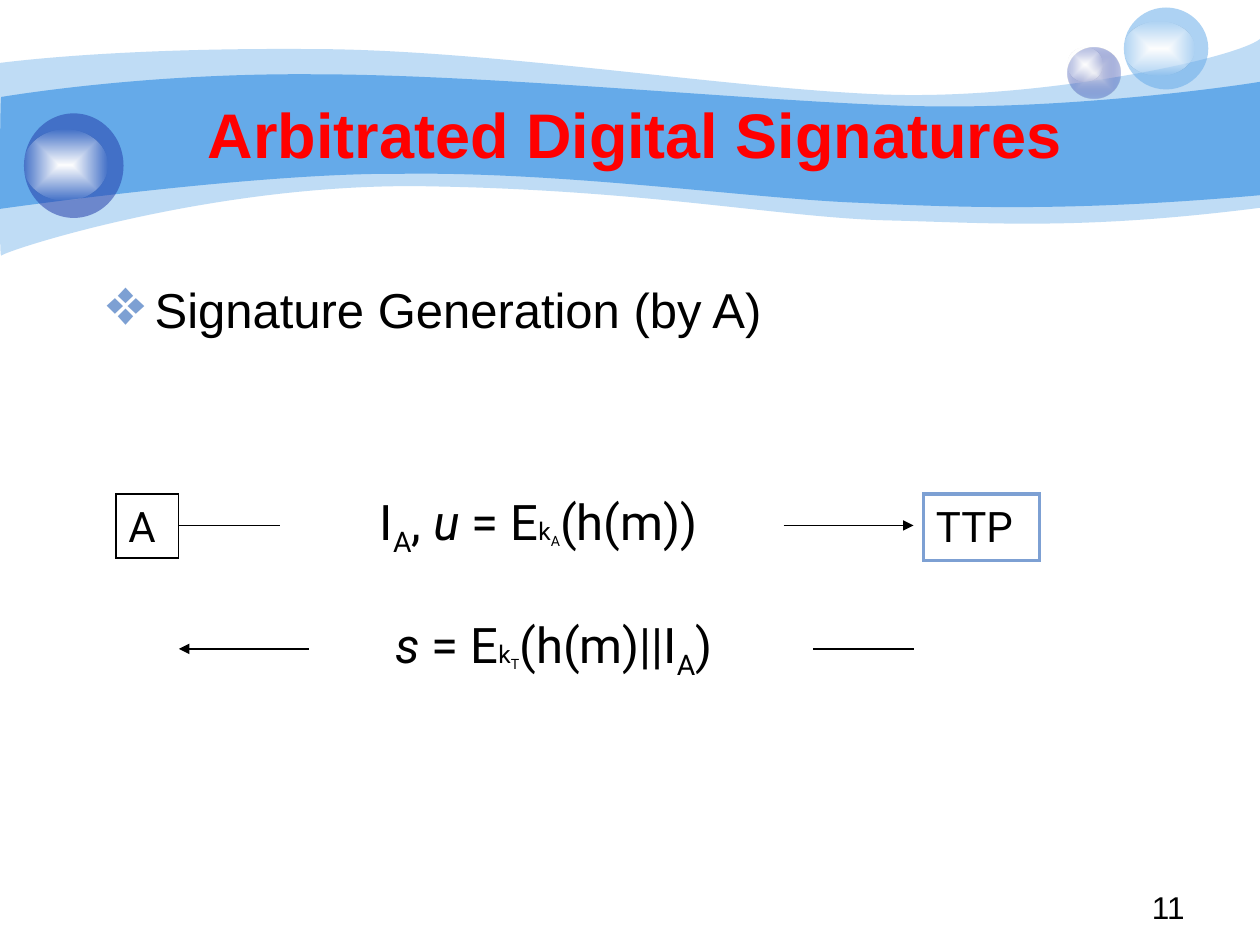
from lxml.etree import SubElement
from pptx import Presentation
from pptx.dml.color import RGBColor
from pptx.enum.shapes import MSO_CONNECTOR, MSO_SHAPE
from pptx.enum.text import MSO_ANCHOR, PP_ALIGN
from pptx.oxml import parse_xml
from pptx.oxml.ns import nsdecls, qn
from pptx.util import Inches, Pt

BLACK = RGBColor(0x00, 0x00, 0x00)
RED = RGBColor(0xFF, 0x00, 0x00)
WHITE = RGBColor(0xFF, 0xFF, 0xFF)
LAVENDER = RGBColor(0xE1, 0xE2, 0xED)
SKY = RGBColor(0x65, 0xAA, 0xE9)
NAVY = RGBColor(0x23, 0x3D, 0xA9)
STEEL = RGBColor(0x7D, 0xA0, 0xD3)

# Each edge: a start point, then two control points and an end point per curve.
PALE_TOP = [(0, 0.5), (0.24, 0.47), (1.07, 0.38), (2.47, 0.39),
            (3.86, 0.39), (5.75, 0.7), (6.99, 0.75),
            (8.22, 0.8), (9.8, 0.47), (10, 0.31)]
PALE_BOTTOM = [(10, 1.65), (8.58, 1.83), (7.87, 1.77), (7.05, 1.75),
               (6.22, 1.73), (5.15, 1.51), (3.43, 1.48),
               (1.72, 1.44), (0.04, 1.99), (0.01, 2.03),
               (-0.01, 2.08), (0, 0.75), (0, 0.5)]
DEEP_TOP = [(0.01, 0.77), (0.02, 0.77), (1.1, 0.58), (2.48, 0.59),
            (3.86, 0.59), (5.95, 0.8), (7.18, 0.84),
            (8.41, 0.88), (9.76, 0.69), (10, 0.65)]
DEEP_BOTTOM = [(10, 1.55), (8.53, 1.68), (7.65, 1.65), (6.82, 1.61),
               (5.99, 1.58), (4.47, 1.36), (3.17, 1.38),
               (2.03, 1.37), (-0.02, 1.66), (-0.01, 1.66),
               (0, 1.66), (0, 0.77), (0.01, 0.77)]


def fill_solid(shape, color, opacity=100):
    shape.fill.solid()
    shape.fill.fore_color.rgb = color
    if opacity < 100:
        color_element = shape.fill._xPr.find(qn("a:solidFill"))[0]
        SubElement(color_element, qn("a:alpha"), val=str(opacity * 1000))


def fill_radial(shape, inner, outer, outer_opacity):
    gradient = parse_xml(
        f'<a:gradFill {nsdecls("a")} rotWithShape="1"><a:gsLst>'
        f'<a:gs pos="0"><a:srgbClr val="{inner}"/></a:gs>'
        f'<a:gs pos="100000"><a:srgbClr val="{outer}"><a:alpha val="{outer_opacity * 1000}"/>'
        '</a:srgbClr></a:gs></a:gsLst><a:path path="shape">'
        '<a:fillToRect l="50000" t="50000" r="50000" b="50000"/></a:path></a:gradFill>')
    shape._element.spPr.find(qn("a:prstGeom")).addnext(gradient)


def merge_into_curves(segments):
    """Turn every three straight segments into one cubic Bézier curve."""
    for first in range(0, len(segments), 3):
        curve = parse_xml(f'<a:cubicBezTo {nsdecls("a")}/>')
        segments[first].addprevious(curve)
        for segment in segments[first:first + 3]:
            curve.append(segment[0])
            segment.getparent().remove(segment)


def add_wave(slide, top, bottom, opacity=100):
    points = [(Inches(x), Inches(y)) for x, y in top + bottom]
    builder = slide.shapes.build_freeform(*points[0])
    builder.add_line_segments(points[1:], close=True)
    wave = builder.convert_to_shape()
    segments = list(wave._element.spPr.iter(qn("a:lnTo")))
    merge_into_curves(segments[:len(top) - 1])
    merge_into_curves(segments[len(top):len(points) - 1])
    wave.shadow.inherit = False
    wave.line.fill.background()
    fill_solid(wave, SKY, opacity)


def add_ellipse(slide, left, top, width, height):
    ellipse = slide.shapes.add_shape(MSO_SHAPE.OVAL, Inches(left), Inches(top),
                                     Inches(width), Inches(height))
    ellipse.shadow.inherit = False
    ellipse.line.fill.background()
    return ellipse


def add_highlight(slide, left, top, width, height):
    fill_radial(add_ellipse(slide, left, top, width, height), WHITE, WHITE, 0)


def add_banner(slide):
    add_wave(slide, PALE_TOP, PALE_BOTTOM, 41)
    add_wave(slide, DEEP_TOP, DEEP_BOTTOM)
    fill_radial(add_ellipse(slide, 8.47, 0.38, 0.42, 0.4), LAVENDER, NAVY, 31)
    add_highlight(slide, 8.47, 0.38, 0.28, 0.27)
    fill_solid(add_ellipse(slide, 8.92, 0.06, 0.67, 0.65), SKY, 53)
    add_highlight(slide, 8.92, 0.17, 0.56, 0.43)
    fill_solid(add_ellipse(slide, 0.19, 0.9, 0.79, 0.83), NAVY, 53)
    add_highlight(slide, 0.19, 1.03, 0.66, 0.56)


def add_run(paragraph, text, size, font="Roboto", color=BLACK, italic=False, subscript=False):
    run = paragraph.add_run()
    run.text = text
    run.font.size = Pt(size)
    run.font.name = font
    run.font.color.rgb = color
    run.font.italic = italic
    if subscript:
        run.font._element.set("baseline", "-25000")
    return run


def add_text_box(slide, left, top, width, height, align=PP_ALIGN.LEFT):
    """Add an empty wrapping text box and return its paragraph."""
    box = slide.shapes.add_textbox(Inches(left), Inches(top), Inches(width), Inches(height))
    box.text_frame.word_wrap = True
    paragraph = box.text_frame.paragraphs[0]
    paragraph.alignment = align
    return paragraph


def add_title(slide, left, top, width, height):
    title = slide.shapes.title
    title.left, title.top = Inches(left), Inches(top)
    title.width, title.height = Inches(width), Inches(height)
    title.text_frame.vertical_anchor = MSO_ANCHOR.MIDDLE
    paragraph = title.text_frame.paragraphs[0]
    paragraph.alignment = PP_ALIGN.CENTER
    add_run(paragraph, "Arbitrated Digital Signatures", 36, "Arial", RED).font.bold = True


def add_bullet(slide, left, top, width, height):
    paragraph = add_text_box(slide, left, top, width, height)
    properties = paragraph._p.get_or_add_pPr()
    properties.set("marL", str(Inches(0.38)))
    properties.set("indent", str(-Inches(0.38)))
    bullet_color = SubElement(properties, qn("a:buClr"))
    SubElement(bullet_color, qn("a:srgbClr"), val=str(STEEL))
    SubElement(properties, qn("a:buSzPct"), val="135000")
    SubElement(properties, qn("a:buChar"), char="❖")
    add_run(paragraph, "Signature Generation (by A)", 28, "Arial")


def add_party(slide, name, left, top, width, height, line_color, line_width):
    party = slide.shapes.add_shape(MSO_SHAPE.RECTANGLE, Inches(left), Inches(top),
                                   Inches(width), Inches(height))
    party.shadow.inherit = False
    party.fill.background()
    party.line.color.rgb = line_color
    party.line.width = Pt(line_width)
    SubElement(party.line._get_or_add_ln(), qn("a:miter"), lim="800000")
    party.text_frame.vertical_anchor = MSO_ANCHOR.TOP
    paragraph = party.text_frame.paragraphs[0]
    paragraph.alignment = PP_ALIGN.LEFT
    add_run(paragraph, name, 24)


def add_line(slide, start, end, y, arrow=False):
    line = slide.shapes.add_connector(MSO_CONNECTOR.STRAIGHT, Inches(start), Inches(y),
                                      Inches(end), Inches(y))
    line.line.color.rgb = BLACK
    line.line.width = Pt(0.75)
    if arrow:
        SubElement(line.line._get_or_add_ln(), qn("a:tailEnd"), type="triangle")
    SubElement(line._element.spPr, qn("a:effectLst"))


def add_message(slide, y, text_left, plain_line, arrow_line, runs):
    """Add a message formula with a line on one side and an arrow on the other."""
    add_line(slide, *plain_line, y)
    add_line(slide, *arrow_line, y, arrow=True)
    paragraph = add_text_box(slide, text_left, y - 0.32, 3.89, 0.57, PP_ALIGN.CENTER)
    for text, size, style in runs:
        add_run(paragraph, text, size, italic=style == "italic", subscript=style == "sub")


def main():
    presentation = Presentation()
    presentation.slide_width, presentation.slide_height = Inches(10), Inches(7.5)
    slide = presentation.slides.add_slide(presentation.slide_layouts[5])
    add_banner(slide)
    add_run(add_text_box(slide, 7.17, 7, 2.33, 0.35, PP_ALIGN.RIGHT), "11", 18, "Arial")
    add_title(slide, 1, 0.75, 8.08, 0.62)
    # The title comes after the banner so that it lies on top.
    slide.shapes._spTree.append(slide.shapes.title._element)
    add_bullet(slide, 0.75, 2.17, 8.5, 0.68)
    add_party(slide, "A", 0.92, 3.92, 0.5, 0.51, BLACK, 0.75)
    add_party(slide, "TTP", 7.33, 3.92, 0.92, 0.53, STEEL, 2)
    add_message(slide, 4.17, 2.33, (1.42, 2.22), (6.22, 7.25),
                [("I", 28, ""), ("A", 28, "sub"), (", ", 28, ""), ("u ", 28, "italic"),
                 ("= E", 28, ""), ("k", 14, ""), ("A", 14, "sub"), ("(h(m))", 28, "")])
    add_message(slide, 5.15, 2.45, (7.25, 6.45), (2.45, 1.42),
                [("s ", 28, "italic"), ("= E", 28, ""), ("k", 14, ""), ("T", 14, "sub"),
                 ("(h(m)||I", 28, ""), ("A", 28, "sub"), (")", 28, "")])
    presentation.save("out.pptx")


if __name__ == "__main__":
    main()
